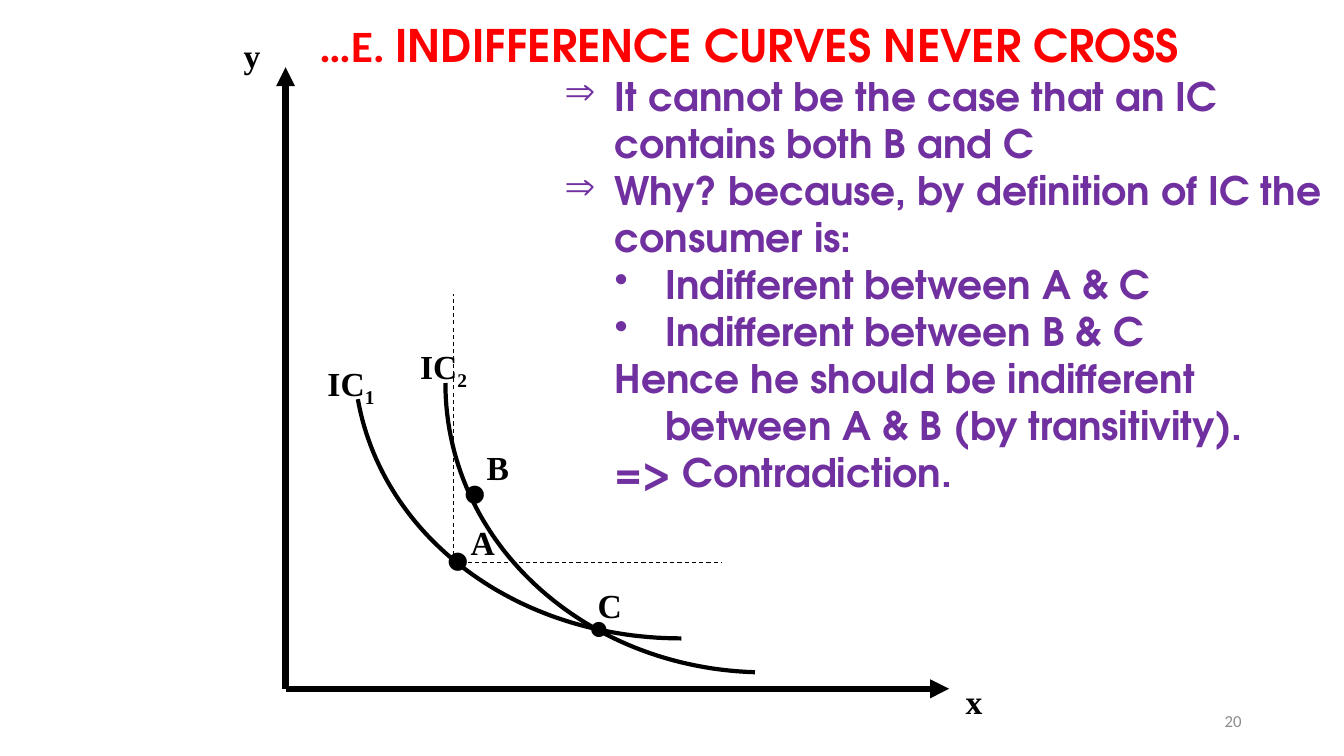
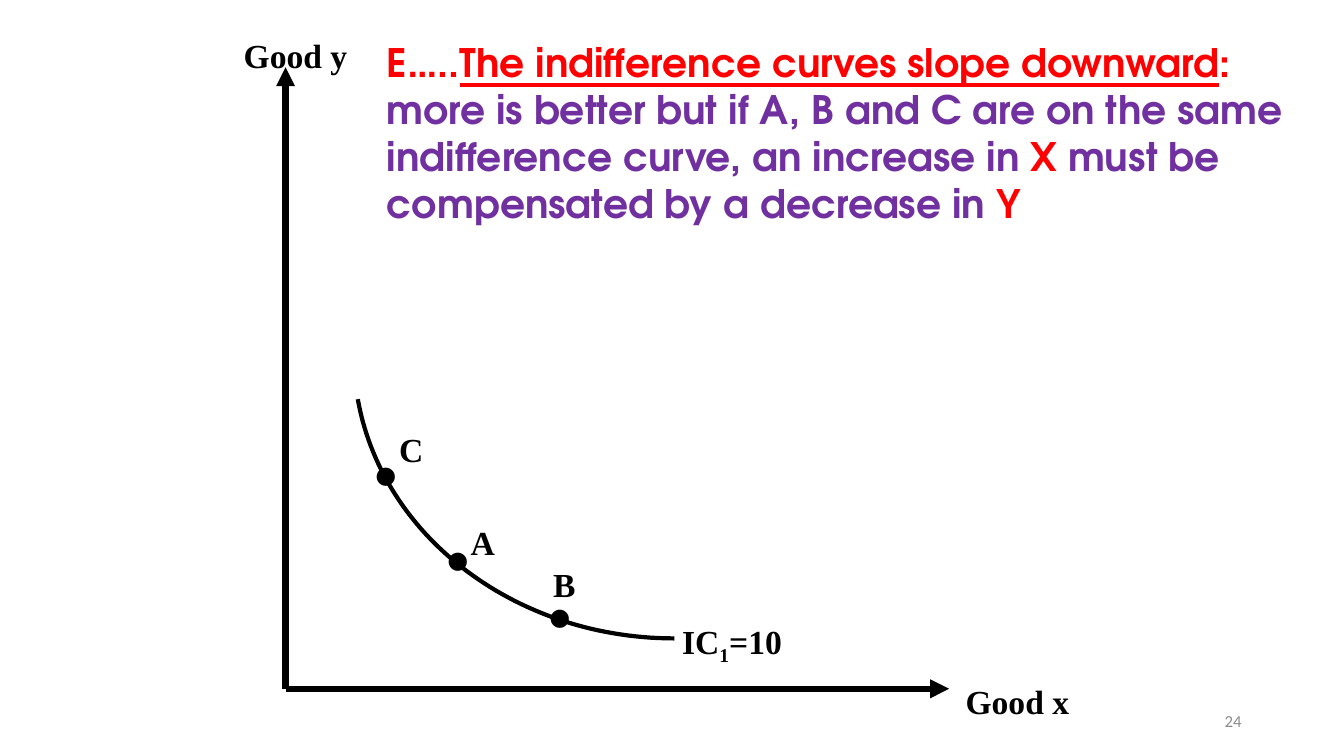
"""Build two slides on the properties of indifference curves."""
from lxml.etree import SubElement
from pptx import Presentation
from pptx.dml.color import RGBColor
from pptx.enum.dml import MSO_LINE
from pptx.enum.shapes import MSO_CONNECTOR
from pptx.enum.text import MSO_ANCHOR, PP_ALIGN
from pptx.oxml.ns import qn
from pptx.util import Pt

BLACK, RED, PURPLE, GREY = "000000", "FF0000", "7030A0", "8C8C8C"
SERIF, DISPLAY, PLAIN = "Times New Roman", "TeX Gyre Adventor", "Calibri"
SUBSCRIPT = {"baseline": "-25000"}
FIRST_CURVE = [(481.7, 456), (369, 456), (273.2, 383.8), (255.6, 285.1)]
LONG_FIRST_CURVE = [(486.7, 456)] + FIRST_CURVE[1:]
SECOND_CURVE = [(539.3, 480.2), (416.2, 476.6), (318.2, 386.6), (318.2, 273.6)]
CURVE_STEPS = 60


def add_text(page, frame, paragraphs, font, size, color, bold=True, wrap=True, align=PP_ALIGN.LEFT):
    """Add a text box whose paragraphs are lists of (text, style) spans."""
    box = page.shapes.add_textbox(*[Pt(length) for length in frame]).text_frame
    box.word_wrap = wrap
    for index, spans in enumerate(paragraphs):
        para = box.add_paragraph() if index else box.paragraphs[0]
        para.alignment = align
        para.font.name, para.font.size, para.font.bold = font, Pt(size), bold
        para.font.color.rgb = RGBColor.from_string(color)
        for text, style in spans:
            span = para.add_run()
            span.text = text
            if "font" in style:
                span.font.name = style["font"]
            if "color" in style:
                span.font.color.rgb = RGBColor.from_string(style["color"])
            if "underline" in style:
                span.font.underline = style["underline"]
            if "baseline" in style:
                span.font._element.set("baseline", style["baseline"])
    return box


def add_line(page, start, end, width, dash=None, arrow=False):
    """Add a straight black line, dashed or with an arrowhead at its end."""
    line = page.shapes.add_connector(MSO_CONNECTOR.STRAIGHT, *[Pt(length) for length in start + end])
    line.line.color.rgb = RGBColor.from_string(BLACK)
    line.line.width = Pt(width)
    if dash:
        line.line.dash_style = dash
    if arrow:
        SubElement(line.line._get_or_add_ln(), qn("a:tailEnd"), type="triangle")
    SubElement(line._element.spPr, qn("a:effectLst"))


graphs = [
    {
        "number": "20",
        "curves": [LONG_FIRST_CURVE, SECOND_CURVE],
        "dots": [(312, 366, 31, 48), (324, 318, 31, 48), (414, 420, 28, 40)],
        "labels": [
            (682.6, 483, 27, [("x", {})]),
            (167, 21.6, 27, [("y", {})]),
            (329, 369.4, 32, [("A", {})]),
            (340.6, 315.4, 30, [("B", {})]),
            (419.8, 414, 32, [("C", {})]),
            (226.8, 255.6, 49, [("IC", {}), ("1", SUBSCRIPT)]),
            (293, 243.4, 49, [("IC", {}), ("2", SUBSCRIPT)]),
        ],
    },
    {
        "number": "24",
        "curves": [FIRST_CURVE],
        "dots": [(312, 366, 31, 48), (260.6, 305.3, 31, 48), (384.5, 406.8, 31, 48)],
        "labels": [
            (682.6, 483, 89, [("Good x", {})]),
            (167, 21.6, 89, [("Good y", {})]),
            (329, 369.4, 32, [("A", {})]),
            (388, 399.6, 31, [("B", {})]),
            (278, 303, 32, [("C", {})]),
            (480.2, 440, 88, [("IC", {}), ("1", SUBSCRIPT), ("=10", {})]),
        ],
    },
]

deck = Presentation()
deck.slide_width, deck.slide_height = Pt(960), Pt(540)

pages = []
for graph in graphs:
    page = deck.slides.add_slide(deck.slide_layouts[6])
    pages.append(page)
    origin = (204, 492)
    for axis_end in [(678, 492), (204, 48)]:
        add_line(page, origin, axis_end, 4.5, arrow=True)

    for controls in graph["curves"]:
        points = []
        for step in range(CURVE_STEPS + 1):
            t = step / CURVE_STEPS
            weights = [(1 - t) ** 3, 3 * t * (1 - t) ** 2, 3 * t ** 2 * (1 - t), t ** 3]
            points.append(tuple(
                Pt(sum(weight * control[axis] for weight, control in zip(weights, controls)))
                for axis in range(2)
            ))
        builder = page.shapes.build_freeform(*points[0])
        builder.add_line_segments(points[1:], close=False)
        curve = builder.convert_to_shape()
        curve.fill.background()
        curve.line.color.rgb = RGBColor.from_string(BLACK)
        curve.line.width = Pt(3)
        curve.shadow.inherit = False

    for left, top, width, size in graph["dots"]:
        add_text(page, (left, top, width, size * 1.35), [[("•", {})]], SERIF, size, BLACK, wrap=False)
    for left, top, width, spans in graph["labels"]:
        add_text(page, (left, top, width, 36), [spans], SERIF, 24, BLACK, wrap=False)

    number = add_text(page, (678, 500.5, 216, 28.8), [[(graph["number"], {})]],
                      PLAIN, 12, GREY, bold=False, align=PP_ALIGN.RIGHT)
    number.vertical_anchor = MSO_ANCHOR.MIDDLE

crossing, downward = pages

for guide_end in [(516, 402), (324, 210)]:
    add_line(crossing, (324, 402), guide_end, 0.75, dash=MSO_LINE.DASH)

add_text(crossing, (54.7, 9.4, 795, 26.6),
         [[("…E. ", {"font": PLAIN}), ("INDIFFERENCE CURVES NEVER CROSS", {})]],
         DISPLAY, 32, RED, align=PP_ALIGN.RIGHT)

argument = [
    ("It cannot be the case that an IC contains both B and C", 36, -36, "⇒"),
    ("Why? because, by definition of IC the consumer is:", 36, -36, "⇒"),
    ("Indifferent between A & C", 72, -36, "•"),
    ("Indifferent between B & C", 72, -36, "•"),
    ("Hence he should be indifferent between A & B (by transitivity).", 72, -36, None),
    ("=> Contradiction.", 36, 0, None),
]
reasons = add_text(crossing, (396, 48, 555, 312.5), [[(text, {})] for text, *_ in argument],
                   DISPLAY, 28, PURPLE)
for para, (_, margin, indent, bullet) in zip(reasons.paragraphs, argument):
    properties = para._p.get_or_add_pPr()
    properties.set("marL", str(Pt(margin)))
    properties.set("indent", str(Pt(indent)))
    if bullet:
        mark = SubElement(properties, qn("a:buChar"), char=bullet)
        properties.find(qn("a:defRPr")).addprevious(mark)

add_text(downward, (269.3, 23.8, 670.3, 143.3), [[
    ("E…..", {}),
    ("The indifference curves slope downward", {"underline": True}),
    (":", {}),
    (" more is better but if A, B and C are on the same indifference curve, an increase in ",
     {"color": PURPLE}),
    ("X", {}),
    (" must be compensated by a decrease in ", {"color": PURPLE}),
    ("Y", {}),
]], DISPLAY, 28, RED)

deck.save("out.pptx")
